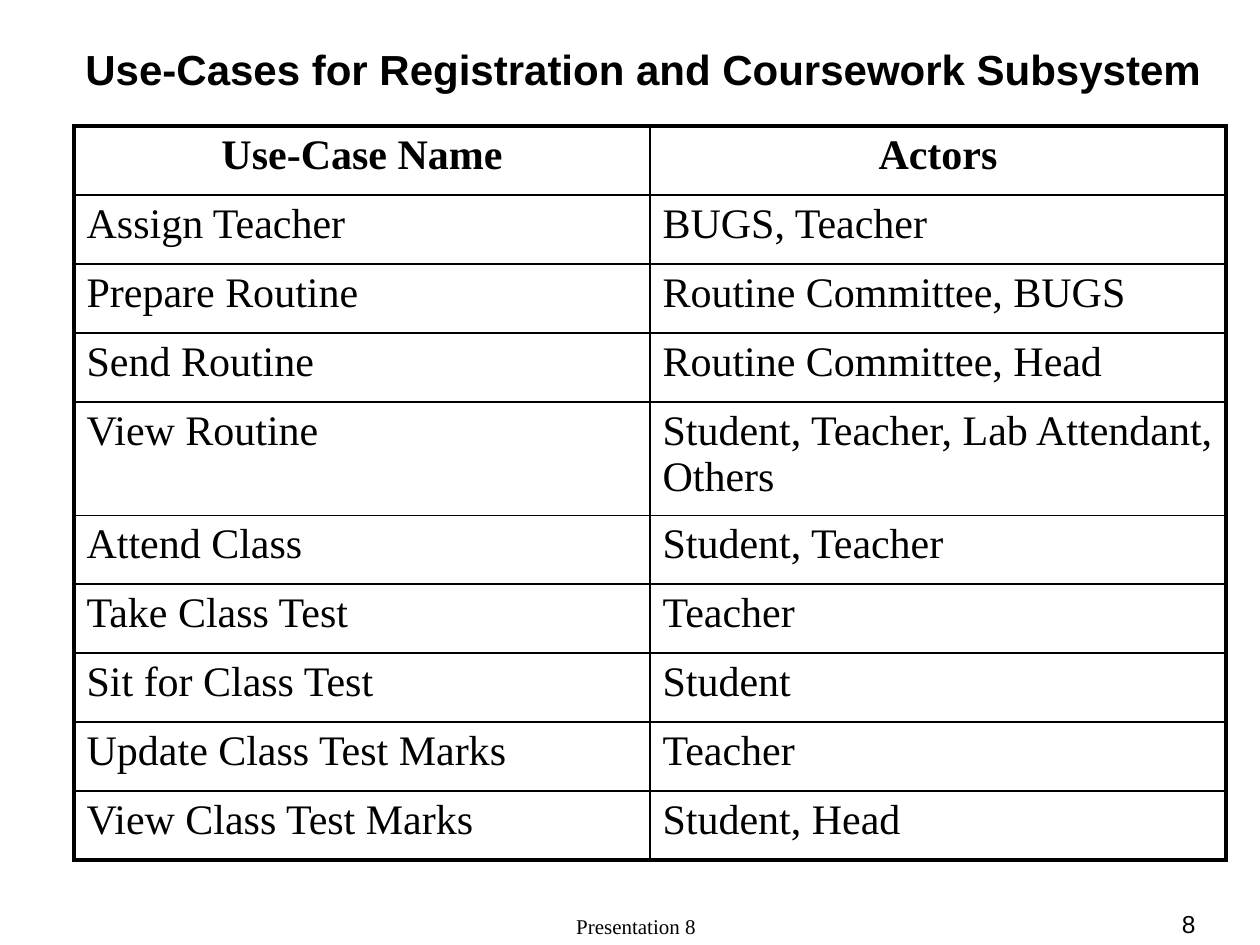
from lxml.etree import SubElement
from pptx import Presentation
from pptx.dml.color import RGBColor
from pptx.enum.text import MSO_ANCHOR as Anchor, PP_ALIGN as Align
from pptx.oxml.ns import qn
from pptx.util import Emu, Pt

PX_PER_INCH = 126
BLACK = "000000"
SANS, SERIF = "Arial", "Times New Roman"
THIN, THICK = 1, 2.25

HEADINGS = ("Use-Case Name", "Actors")
USE_CASES = [
    ("Assign Teacher", "BUGS, Teacher"),
    ("Prepare Routine", "Routine Committee, BUGS"),
    ("Send Routine", "Routine Committee, Head"),
    ("View Routine", "Student, Teacher, Lab Attendant, Others"),
    ("Attend Class", "Student, Teacher"),
    ("Take Class Test", "Teacher"),
    ("Sit for Class Test", "Student"),
    ("Update Class Test Marks", "Teacher"),
    ("View Class Test Marks", "Student, Head"),
]
ROW_HEIGHT, TALL_ROW_HEIGHT = 69, 113
TALL_ROW = 4


def px(length):
    return Emu(round(length * 914400 / PX_PER_INCH))


def color(hex_code):
    return RGBColor.from_string(hex_code)


def write(frame, text, size=24, font=SERIF, bold=False, align=Align.LEFT, ink=BLACK):
    paragraph = frame.paragraphs[0]
    paragraph.alignment = align
    run = paragraph.add_run()
    run.text = text
    run.font.size = Pt(size)
    run.font.name = font
    run.font.bold = bold
    run.font.color.rgb = color(ink)


def add_label(slide, box, text, anchor=Anchor.BOTTOM, **text_format):
    frame = slide.shapes.add_textbox(*map(px, box)).text_frame
    frame.word_wrap = True
    frame.vertical_anchor = anchor
    write(frame, text, **text_format)


def set_borders(cell, **widths):
    """Draw the cell's borders; widths in points, keyed L, R, T, B in that order."""
    properties = cell._tc.get_or_add_tcPr()
    for side, width in widths.items():
        line = SubElement(properties, qn(f"a:ln{side}"), w=str(Pt(width)))
        fill = SubElement(line, qn("a:solidFill"))
        SubElement(fill, qn("a:srgbClr"), val=BLACK)


def add_use_case_table(slide, left, top, width):
    rows = [HEADINGS, *USE_CASES]
    heights = [TALL_ROW_HEIGHT if r == TALL_ROW else ROW_HEIGHT for r in range(len(rows))]
    last_row, last_column = len(rows) - 1, len(HEADINGS) - 1
    table = slide.shapes.add_table(
        len(rows), len(HEADINGS), px(left), px(top), px(width), px(sum(heights))
    ).table
    table.first_row = table.horz_banding = False
    for column in table.columns:
        column.width = px(width / len(HEADINGS))

    for r, (texts, height) in enumerate(zip(rows, heights)):
        table.rows[r].height = px(height)
        heading = r == 0
        for c, text in enumerate(texts):
            cell = table.cell(r, c)
            write(cell.text_frame, text, bold=heading,
                  align=Align.CENTER if heading else Align.LEFT)
            set_borders(
                cell,
                L=THICK if c == 0 else THIN,
                R=THICK if c == last_column else THIN,
                T=THICK if heading else THIN,
                B=THICK if r == last_row else THIN,
            )
            cell.fill.background()


def add_footer(slide, top, height):
    add_label(slide, (431, top, 410, height), "Presentation 8", size=12, align=Align.CENTER)
    add_label(slide, (1061, top, 147, height), "8", size=14, font=SANS, align=Align.RIGHT)


def main():
    deck = Presentation()
    deck.slide_width, deck.slide_height = px(1260), px(945)
    slide = deck.slides.add_slide(deck.slide_layouts[6])
    add_footer(slide, top=914, height=31)
    add_label(slide, (73, 32, 1187, 73), "Use-Cases for Registration and Coursework Subsystem",
              anchor=Anchor.MIDDLE, font=SANS, bold=True)
    add_use_case_table(slide, left=74, top=126, width=1152)
    deck.save("out.pptx")


if __name__ == "__main__":
    main()
